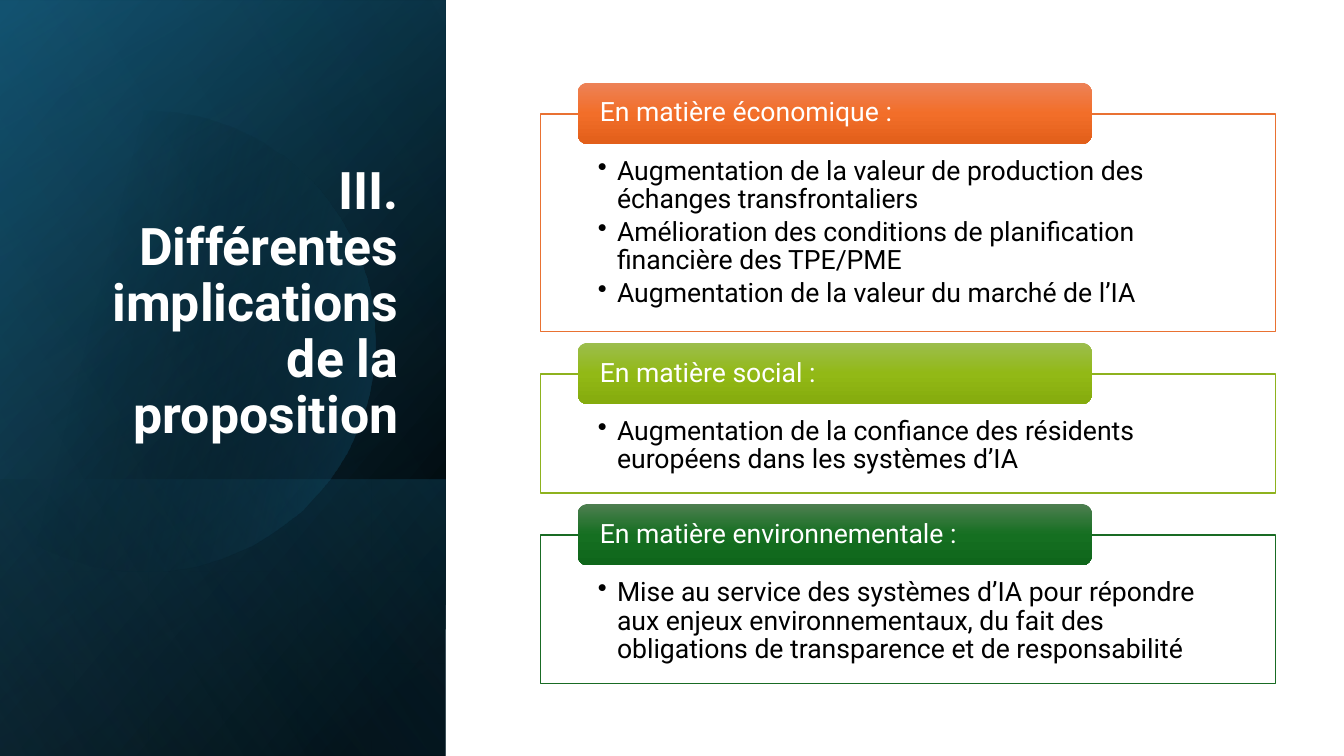
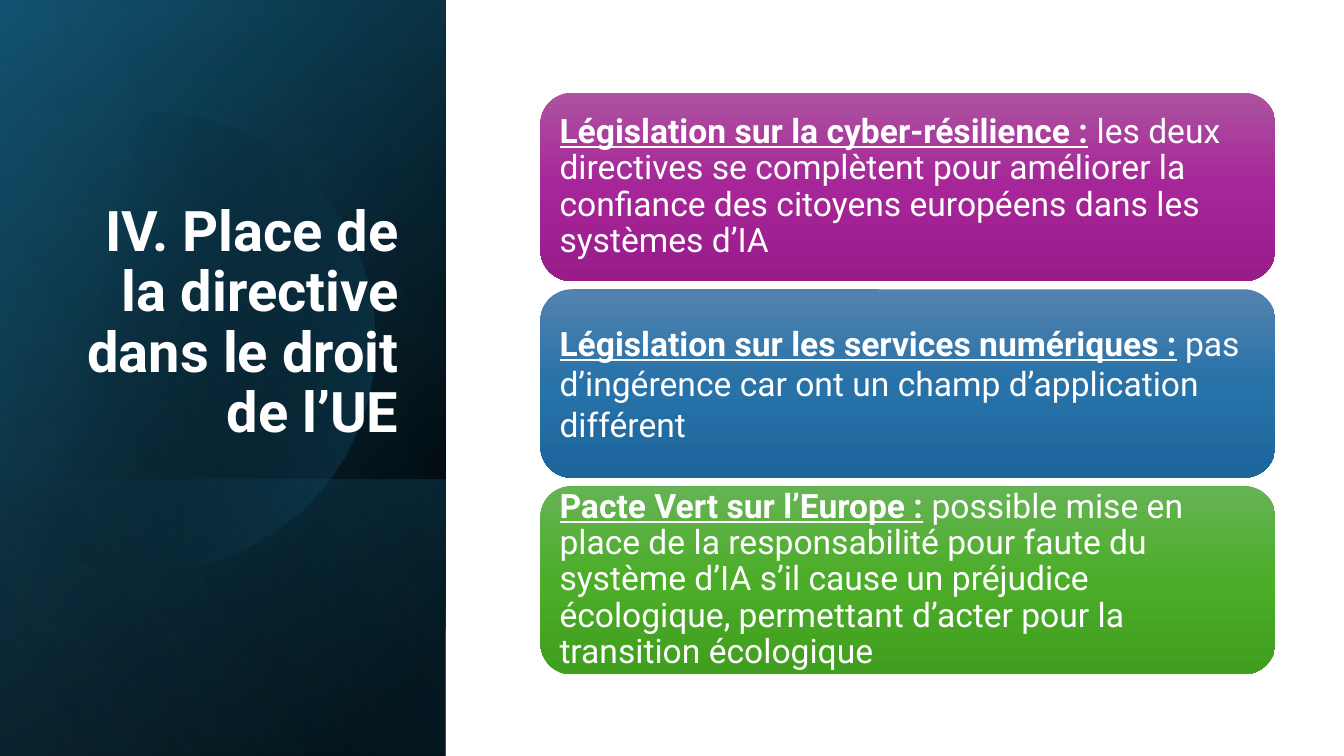
from pptx import Presentation
from pptx.dml.color import RGBColor as RGB
from pptx.enum.shapes import MSO_SHAPE as Kind
from pptx.enum.text import MSO_ANCHOR as Anchor, PP_ALIGN as Align
from pptx.oxml import parse_xml
from pptx.oxml.ns import nsdecls, qn
from pptx.util import Pt

PX = 9144  # EMU, 100 px to the inch
WIDE, HIGH = 1333, 750
FONT = "Roboto"

WHITE = RGB(0xFF, 0xFF, 0xFF)
BLACK = RGB(0, 0, 0)
NAVY = RGB(0x10, 0x48, 0x62)
TEAL = RGB(0x15, 0x60, 0x82)
SKY = RGB(0x46, 0xB1, 0xE1)
ORANGE = RGB(0xE9, 0x71, 0x32)
LIME = RGB(0x8E, 0xB2, 0x1E)
GREEN = RGB(0x19, 0x6B, 0x24)

# Gradients from top to bottom
ORANGES = RGB(0xED, 0x82, 0x57), RGB(0xF2, 0x6E, 0x29), RGB(0xE2, 0x5F, 0x1A)
LIMES = RGB(0x9C, 0xBD, 0x4E), RGB(0x92, 0xB9, 0x16), RGB(0x85, 0xAB, 0x0D)
GREENS = RGB(0x4D, 0x7E, 0x50), RGB(0x15, 0x6F, 0x21), RGB(0x0F, 0x66, 0x1B)
PLUMS = RGB(0xAC, 0x53, 0xA0), RGB(0xA6, 0x25, 0x98), RGB(0x99, 0x1C, 0x8B)
BLUES = RGB(0x53, 0x82, 0xAF), RGB(0x27, 0x72, 0xA9), RGB(0x1D, 0x66, 0x9C)
LEAVES = RGB(0x66, 0xB3, 0x54), RGB(0x4B, 0xAD, 0x28), RGB(0x40, 0x9F, 0x1E)

TOPICS = [
    ("En matière économique :", ORANGE, ORANGES, 216, [
        "Augmentation de la valeur de production des échanges transfrontaliers",
        "Amélioration des conditions de planification financière des TPE/PME",
        "Augmentation de la valeur du marché de l’IA"]),
    ("En matière social :", LIME, LIMES, 118, [
        "Augmentation de la confiance des résidents européens dans les systèmes d’IA"]),
    ("En matière environnementale :", GREEN, GREENS, 147, [
        "Mise au service des systèmes d’IA pour répondre aux enjeux environnementaux, "
        "du fait des obligations de transparence et de responsabilité"]),
]

# Lead, rest, gradient, line spacing
LAWS = [
    ("Législation sur la cyber-résilience :",
     "les deux directives se complètent pour améliorer la confiance des citoyens "
     "européens dans les systèmes d’IA", PLUMS, 0.9),
    ("Législation sur les services numériques :",
     "pas d’ingérence car ont un champ d’application différent", BLUES, 1.0),
    ("Pacte Vert sur l’Europe :",
     "possible mise en place de la responsabilité pour faute du système d’IA s’il cause "
     "un préjudice écologique, permettant d’acter pour la transition écologique",
     LEAVES, 0.9),
]

# Side panel: top, height, angle, stops (position, colour, opacity)
BAND = 442
BASE = [
    (0, 750, 50, [(8, BLACK, 100), (100, NAVY, 100)]),
    (1, 750, 30, [(0, BLACK, 0), (99, TEAL, 46)]),
    (476, 274, 130, [(2, TEAL, 29), (100, BLACK, 30)]),
]
GLOW = (0, 750, 120, [(0, BLACK, 0), (99, SKY, 11)])
DISC_FILL = 13.9, [(29, BLACK, 0), (100, TEAL, 43)]
DISC_START = 149, 110
DISC = [  # curves have three points, lines one
    [(246, 112), (335, 177), (363, 275)],
    [(398, 397), (328, 523), (207, 558)],
    [(131, 580), (53, 561), (-3, 514)],
    [(-15, 503)], [(-15, 175)], [(0, 161)],
    [(23, 142), (50, 128), (80, 119)],
    [(103, 113), (126, 110), (149, 110)],
]

LEFT, SPAN = 536, 729


def box(slide, x, y, w, h, kind=Kind.RECTANGLE):
    shape = slide.shapes.add_shape(kind, *(round(v * PX) for v in (x, y, w, h)))
    shape.shadow.inherit = False
    return shape


def blend(shape, angle, stops):
    """Fill with a linear gradient and drop the outline."""
    shape.line.fill.background()
    shape.fill.gradient()
    marks = "".join(
        f'<a:gs pos="{pos * 1000}"><a:srgbClr val="{tint}">'
        f'<a:alpha val="{alpha * 1000}"/></a:srgbClr></a:gs>'
        for pos, tint, alpha in stops)
    new = parse_xml(
        f'<a:gradFill {nsdecls("a")} rotWithShape="1"><a:gsLst>{marks}</a:gsLst>'
        f'<a:lin ang="{round(angle * 60000)}" scaled="0"/></a:gradFill>')
    props = shape._element.spPr
    props.replace(props.find(qn("a:gradFill")), new)


def pill(slide, x, y, w, h, tints):
    shape = box(slide, x, y, w, h, Kind.ROUNDED_RECTANGLE)
    blend(shape, 90, [(pos, tint, 100) for pos, tint in zip((0, 50, 100), tints)])
    return shape


def setup(shape, anchor, pads):
    """Set wrapping, anchor and the left, top, right, bottom insets."""
    frame = shape.text_frame
    frame.word_wrap = True
    frame.vertical_anchor = anchor
    (frame.margin_left, frame.margin_top,
     frame.margin_right, frame.margin_bottom) = (v * PX for v in pads)
    return frame


def style(para, size, color=WHITE, align=Align.LEFT, gap=0.9):
    para.alignment, para.line_spacing = align, gap
    font = para.font
    font.name, font.size, font.color.rgb = FONT, Pt(size), color


def bullet(para):
    props = para._p.get_or_add_pPr()
    props.set("marL", str(19 * PX))
    props.set("indent", str(-19 * PX))
    props.insert_element_before(
        parse_xml(f'<a:buChar {nsdecls("a")} char="•"/>'),
        "a:tabLst", "a:defRPr", "a:extLst")


def layer(slide, top, high, angle, stops):
    """Add a panel layer, mirrored and turned a quarter."""
    shift = (high - BAND) / 2
    shape = box(slide, -shift, top + shift, high, BAND)
    shape.rotation = 90
    shape._element.spPr.find(qn("a:xfrm")).set("flipH", "1")
    blend(shape, angle, stops)


def trace(start, parts, steps=24):
    """Turn lines and cubic curves into points, cut at the slide edge."""
    points, last = [], start
    for part in parts:
        if len(part) == 1:
            points += part
        else:
            ends = (last, *part)
            for i in range(1, steps + 1):
                t = i / steps
                u = 1 - t
                mix = u ** 3, 3 * u * u * t, 3 * u * t * t, t ** 3
                points.append(tuple(
                    sum(m * p[k] for m, p in zip(mix, ends)) for k in (0, 1)))
        last = part[-1]
    return [(max(0, x), y) for x, y in points]


def page(deck, title, size):
    """Add a slide with the dark side panel and its title."""
    slide = deck.slides.add_slide(deck.slide_layouts[6])
    for item in BASE:
        layer(slide, *item)
    path = slide.shapes.build_freeform(*DISC_START, scale=PX)
    path.add_line_segments(trace(DISC_START, DISC), close=True)
    disc = path.convert_to_shape()
    disc.shadow.inherit = False
    blend(disc, *DISC_FILL)
    layer(slide, *GLOW)

    label = slide.shapes.add_textbox(*(v * PX for v in (64, 184, 341, 262)))
    para = setup(label, Anchor.BOTTOM, (10, 5, 10, 5)).paragraphs[0]
    para.text = title
    style(para, size, align=Align.RIGHT)
    para.font.bold = True
    return slide


def topics(slide, top=113, gap=42, rise=31):
    for head, edge, tints, high, items in TOPICS:
        area = box(slide, LEFT, top, SPAN, high)
        area.fill.solid()
        area.fill.fore_color.rgb = WHITE
        area.line.color.rgb, area.line.width = edge, Pt(1)
        frame = setup(area, Anchor.TOP, (57, 43, 57, 15))
        for i, item in enumerate(items):
            para = frame.add_paragraph() if i else frame.paragraphs[0]
            para.text = item
            style(para, 19, BLACK)
            para.space_after = Pt(2.5)
            bullet(para)

        tab = pill(slide, LEFT + 37, top - rise, 510, 61, tints)
        para = setup(tab, Anchor.MIDDLE, (19, 0, 19, 0)).paragraphs[0]
        para.text = head
        style(para, 19)
        top += high + gap


def laws(slide, top=92, high=187, gap=8):
    for i, (lead, rest, tints, space) in enumerate(LAWS):
        card = pill(slide, LEFT, top + i * (high + gap), SPAN, high, tints)
        para = setup(card, Anchor.MIDDLE, (10, 10, 10, 10)).paragraphs[0]
        style(para, 24, gap=space)
        run = para.add_run()
        run.text = lead
        run.font.bold = run.font.underline = True
        para.add_run().text = " " + rest


def main():
    deck = Presentation()
    deck.slide_width, deck.slide_height = WIDE * PX, HIGH * PX
    topics(page(deck, "III. Différentes implications de la proposition", 37))
    laws(page(deck, "IV. Place de la directive dans le droit de l’UE", 40))
    deck.save("out.pptx")


if __name__ == "__main__":
    main()
